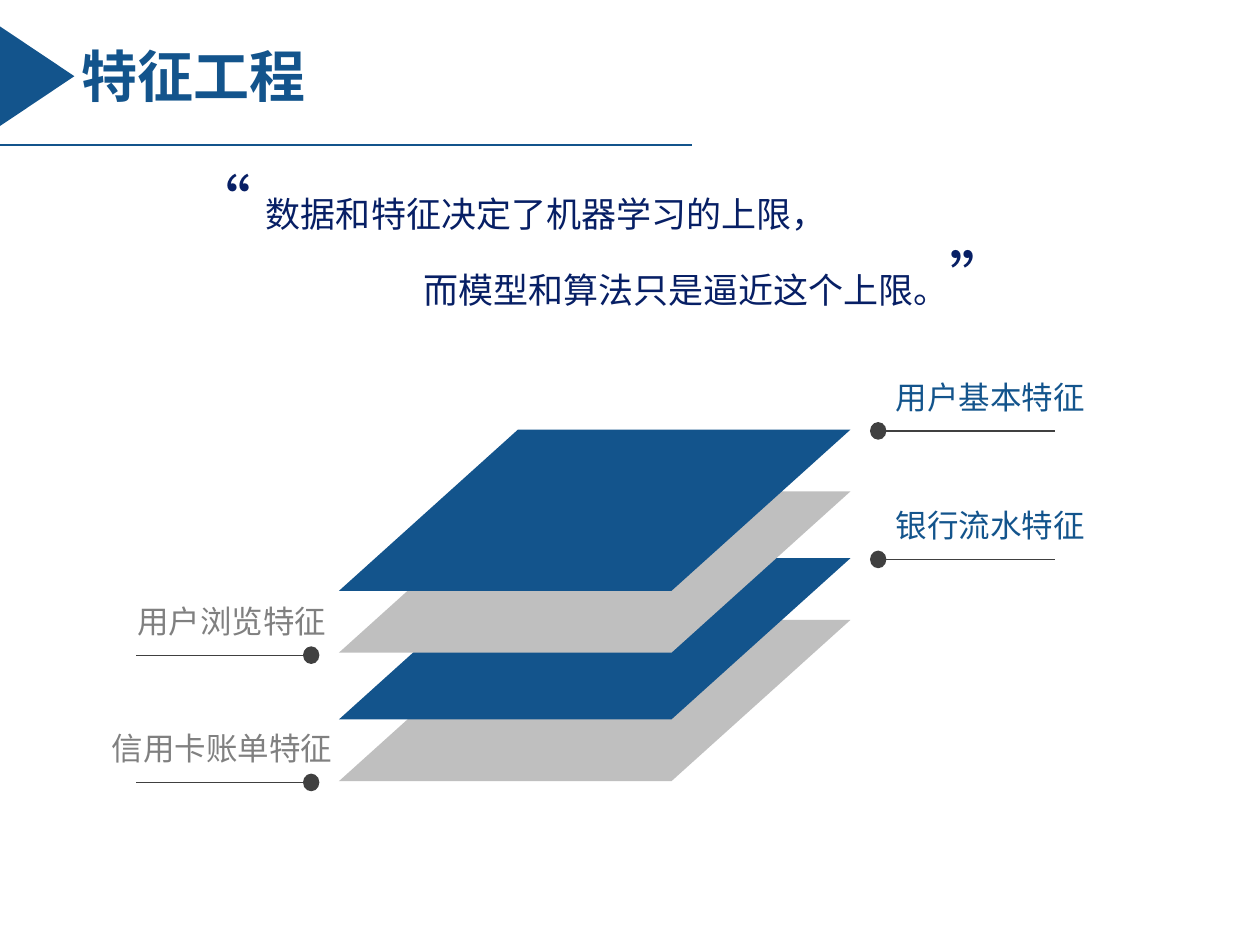
from pptx import Presentation
from pptx import util as u
from pptx.dml.color import RGBColor
from pptx.enum import shapes, text
from pptx.oxml import parse_xml
from pptx.oxml.ns import nsdecls

COLS, ROWS = 100, 75
CELL = u.Inches(0.1)
BLUE, NAVY, SILVER, GREY, DARK = "13548C", "071F65", "BFBFBF", "808080", "404040"
FACE = "Times New Roman"


def grid(*cells):
    """Turn grid cells into lengths."""
    return [u.Emu(round(c * CELL)) for c in cells]


def tint(hue):
    """Turn a hex string into a colour."""
    return RGBColor.from_string(hue)


def put(item, vals):
    """Set attributes from a dict."""
    for key, val in vals.items():
        setattr(item, key, val)


def block(home, kind, box, hue, adj=None, **vals):
    """Add a filled preset shape without outline."""
    item = home.add_shape(kind, *grid(*box))
    item.shadow.inherit = False
    item.fill.solid()
    item.fill.fore_color.rgb = tint(hue)
    item.line.fill.background()
    if adj is not None:
        item.adjustments[0] = adj
    put(item, vals)


def rule(home, x1, x2, y, hue):
    """Add a level line."""
    item = home.add_connector(shapes.MSO_CONNECTOR.STRAIGHT, *grid(x1, y, x2, y))
    item.line.color.rgb = tint(hue)
    item.line.width = u.Pt(0.75)
    item._element.spPr.append(parse_xml(f"<a:effectLst {nsdecls('a')}/>"))


def words(home, box, paras, hue, wrap=False, lead=None, **vals):
    """Add a text box from paragraphs of (text, size) runs."""
    frame = home.add_textbox(*grid(*box)).text_frame
    put(frame, {"word_wrap": wrap, "auto_size": text.MSO_AUTO_SIZE.SHAPE_TO_FIT_TEXT})
    for n, runs in enumerate(paras):
        para = frame.add_paragraph() if n else frame.paragraphs[0]
        para.line_spacing = lead
        for chars, size in runs:
            run = para.add_run()
            run.text = chars
            put(run.font, {"name": FACE, "size": u.Pt(size), **vals})
            run.font.color.rgb = tint(hue)
    return frame


def stack(home):
    """Add the four layers from bottom to top."""
    for top, hue in ((49.2, SILVER), (44.3, BLUE), (39, SILVER), (34.1, BLUE)):
        block(home, shapes.MSO_SHAPE.PARALLELOGRAM, (26.9, top, 40.6, 12.8), hue, 1.11)


def label(home, name, left, wide, y, dot, end, hue):
    """Add a layer name over its dotted leader line."""
    group = home.add_group_shape().shapes
    block(group, shapes.MSO_SHAPE.OVAL, (dot - 0.65, y - 0.7, 1.3, 1.4), DARK)
    rule(group, dot, end, y, DARK)
    words(home, (left, y - 5.6, wide, 4.6), [[(name, 18)]], hue, lead=1.3)


def quote(home):
    """Add the two-line quotation, its second line indented."""
    frame = words(home, (14, 12.6, 72.1, 13.1), [
        [("“ ", 36), ("数据和特征决定了机器学习的上限，", 20)],
        [("而模型和算法只是逼近这个上限。", 20), ("”", 36)],
    ], NAVY, wrap=True)
    frame.paragraphs[1]._p.get_or_add_pPr().set("marL", str(grid(18.6)[0]))


def head(home):
    """Add the title with its marker and rule."""
    frame = words(home, (5.5, 2.8, 20, 6.4), [[("特征工程", 32)]], BLUE, bold=True)
    frame.vertical_anchor = text.MSO_ANCHOR.MIDDLE
    block(home, shapes.MSO_SHAPE.ISOSCELES_TRIANGLE, (-1, 3.1, 7.9, 5.9), BLUE, rotation=90)
    rule(home, 0, 54.9, 11.5, BLUE)


def main():
    """Build and save the slide."""
    deck = Presentation()
    put(deck, {"slide_width": COLS * CELL, "slide_height": ROWS * CELL})
    home = deck.slides.add_slide(deck.slide_layouts[6]).shapes
    stack(home)
    for name, y in (("用户基本特征", 34.2), ("银行流水特征", 44.4)):
        label(home, name, 70.1, 17.2, y, 69.7, 83.7, BLUE)
    for name, left, wide, y in (("用户浏览特征", 9.9, 17.2, 52),
                                ("信用卡账单特征", 7.9, 19.7, 62.1)):
        label(home, name, left, wide, y, 24.7, 10.8, GREY)
    quote(home)
    head(home)
    deck.save("out.pptx")


if __name__ == "__main__":
    main()
